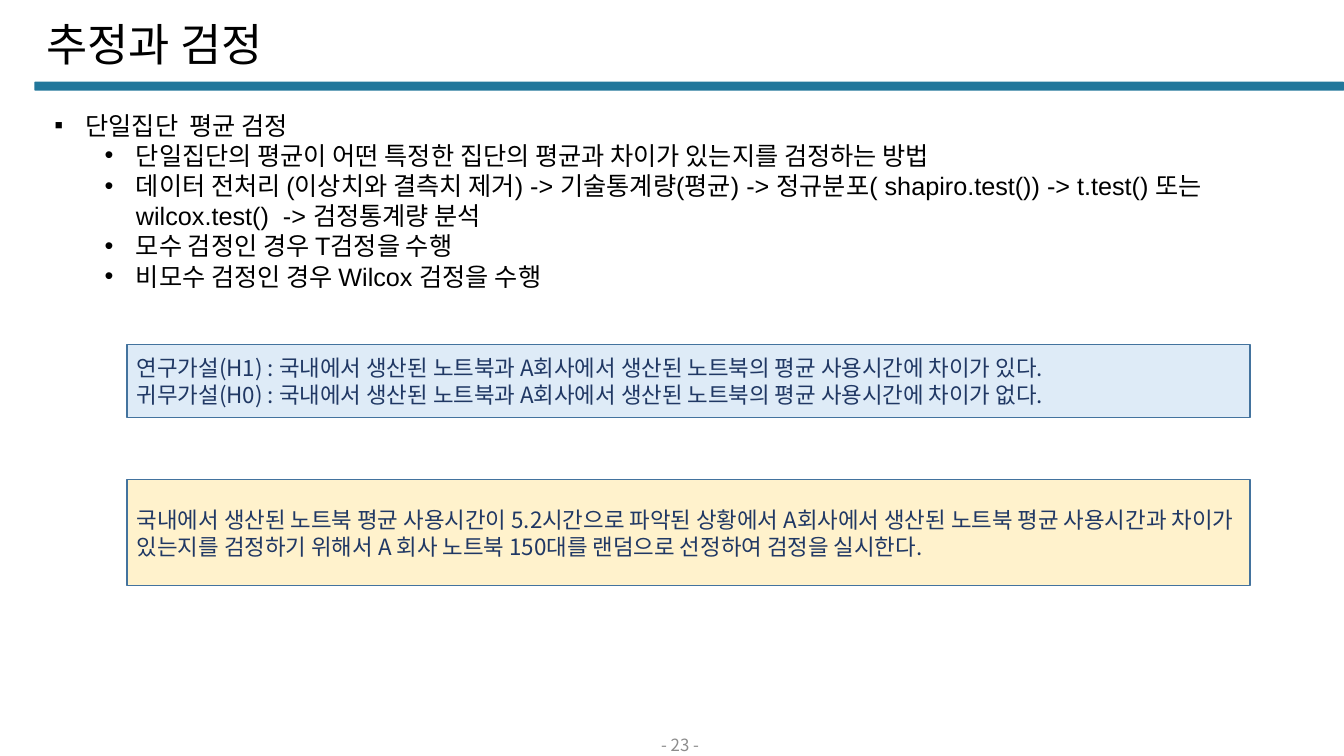
"""Build the slide on estimation and testing of a single-group mean."""
from dataclasses import dataclass
from lxml.etree import SubElement as Sub
from pptx import Presentation
from pptx.dml.color import RGBColor as Rgb
from pptx.enum.shapes import MSO_SHAPE as Shape
from pptx.enum.text import MSO_ANCHOR as Anchor, MSO_AUTO_SIZE as Auto, PP_ALIGN as Align
from pptx.oxml.ns import qn
from pptx.util import Inches, Pt

TITLE = "추정과 검정"
PAGE = "- 23 -"
POINTS = [
    (0, "단일집단  평균 검정"),
    (1, "단일집단의 평균이 어떤 특정한 집단의 평균과 차이가 있는지를 검정하는 방법"),
    (1, "데이터 전처리 (이상치와 결측치 제거) -> 기술통계량(평균) -> 정규분포( shapiro.test()) -> t.test() 또는 wilcox.test()  -> 검정통계량 분석"),
    (1, "모수 검정인 경우 T검정을 수행"),
    (1, "비모수 검정인 경우 Wilcox 검정을 수행"),
]
PANELS = [
    (3.42, 0.72, "DEEBF7", [
        "연구가설(H1) : 국내에서 생산된 노트북과 A회사에서 생산된 노트북의 평균 사용시간에 차이가 있다.",
        "귀무가설(H0) : 국내에서 생산된 노트북과 A회사에서 생산된 노트북의 평균 사용시간에 차이가 없다.",
    ]),
    (4.76, 1.05, "FFF2CC", [
        "국내에서 생산된 노트북 평균 사용시간이 5.2시간으로 파악된 상황에서 A회사에서 생산된 노트북 평균 사용시간과 차이가 있는지를 검정하기 위해서 A 회사 노트북 150대를 랜덤으로 선정하여 검정을 실시한다.",
    ]),
]
BULLETS = "▪•"
WIDE, HIGH = 13.33, 7.5
LEFT, SPAN = 1.26, 11.14
HANG, STEP = 0.31, 0.5


@dataclass(frozen=True)
class Theme:
    sans: str = "Noto Sans CJK KR"
    body: str = "Arial"
    ink: str = "000000"
    navy: str = "203864"
    gray: str = "8C8C8C"
    bar: str = "22779B"
    edge: str = "43739E"
    head: int = 32
    text: int = 18
    note: int = 16
    foot: int = 12


def style(para, face, size, color):
    for run in para.runs:
        run.font.name = face
        run.font.size = Pt(size)
        run.font.color.rgb = Rgb.from_string(color)


def bullet(para, level):
    props = para._p.get_or_add_pPr()
    props.set("marL", str(Inches(HANG + level * STEP)))
    props.set("indent", str(Inches(-HANG)))
    Sub(props, qn("a:buFont")).set("typeface", "Arial")
    Sub(props, qn("a:buChar")).set("char", BULLETS[level])
    para.level = level


def block(slide, kind, box, fill):
    shape = slide.shapes.add_shape(kind, *map(Inches, box))
    shape.shadow.inherit = False
    shape.fill.solid()
    shape.fill.fore_color.rgb = Rgb.from_string(fill)
    shape.line.fill.background()
    return shape


def label(slide, box):
    frame = slide.shapes.add_textbox(*map(Inches, box)).text_frame
    frame.word_wrap = True
    return frame


def main():
    look = Theme()
    deck = Presentation()
    deck.slide_width, deck.slide_height = Inches(WIDE), Inches(HIGH)
    slide = deck.slides.add_slide(deck.slide_layouts[5])

    bar = block(slide, Shape.ROUNDED_RECTANGLE, (0.34, 0.81, WIDE - 0.34, 0.09), look.bar)
    bar.adjustments[0] = 0.13

    title = slide.shapes.title
    title.left, title.top, title.width, title.height = map(Inches, (0.36, 0.25, 11.5, 0.44))
    title.text_frame.text = TITLE
    title.text_frame.vertical_anchor = Anchor.MIDDLE
    head = title.text_frame.paragraphs[0]
    head.alignment, head.line_spacing = Align.LEFT, 0.9
    style(head, look.sans, look.head, look.ink)

    foot = label(slide, (5.19, 7.27, 3.11, 0.23))
    foot.text = PAGE
    foot.vertical_anchor = Anchor.MIDDLE
    foot.paragraphs[0].alignment = Align.CENTER
    style(foot.paragraphs[0], look.sans, look.foot, look.gray)

    body = label(slide, (0.44, 1.04, 12.28, 2.22))
    body.auto_size = Auto.SHAPE_TO_FIT_TEXT
    body.text = "\n".join(text for _, text in POINTS)
    for para, (level, _) in zip(body.paragraphs, POINTS):
        bullet(para, level)
        style(para, look.body, look.text, look.ink)

    for top, high, fill, lines in PANELS:
        panel = block(slide, Shape.RECTANGLE, (LEFT, top, SPAN, high), fill)
        panel.line.color.rgb = Rgb.from_string(look.edge)
        panel.line.width = Pt(1)
        frame = panel.text_frame
        frame.word_wrap = True
        frame.vertical_anchor = Anchor.MIDDLE
        frame.text = "\n".join(lines)
        for para in frame.paragraphs:
            para.alignment = Align.LEFT
            style(para, look.sans, look.note, look.navy)

    deck.save("out.pptx")


if __name__ == "__main__":
    main()
